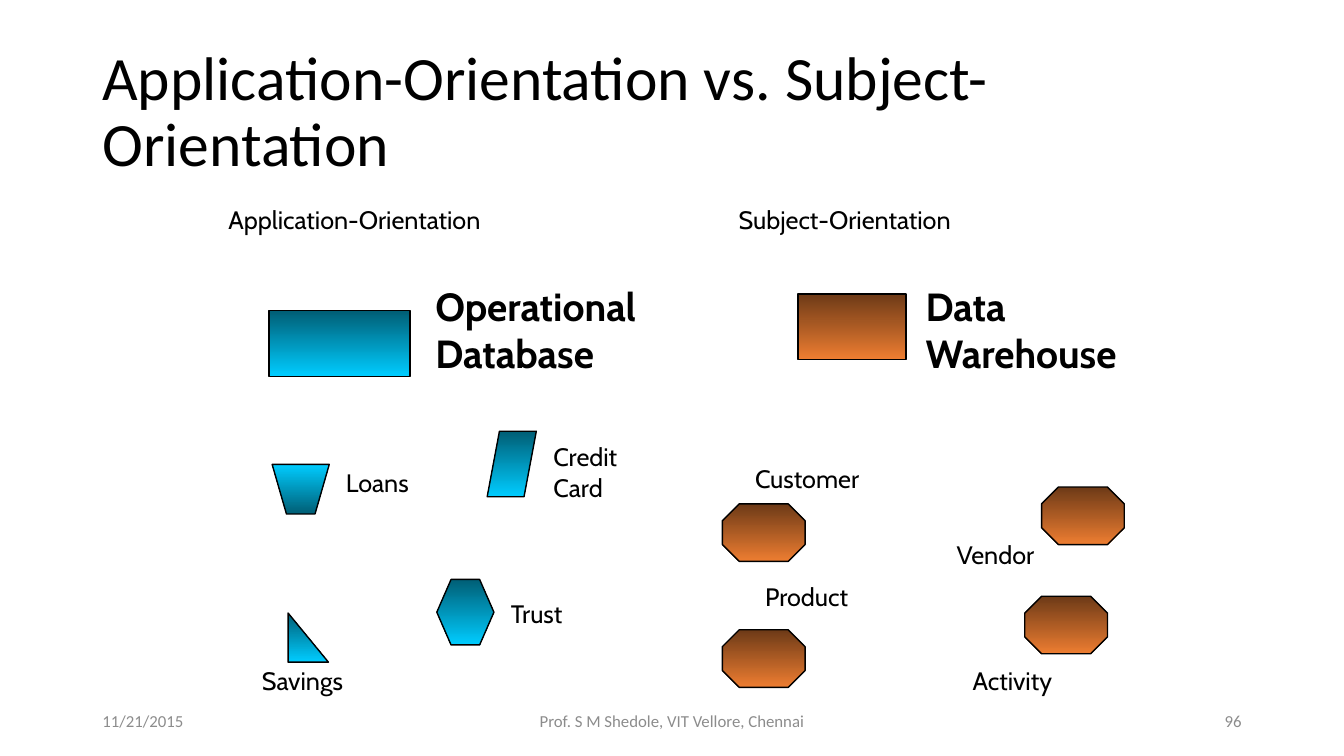
"""Build a slide that contrasts application-orientation with subject-orientation."""
import pptx
import pptx.dml.color
import pptx.enum.shapes
import pptx.enum.text
import pptx.util

KIND = pptx.enum.shapes.MSO_SHAPE
ALIGN = pptx.enum.text.PP_ALIGN
ANCHOR = pptx.enum.text.MSO_ANCHOR
FIT = pptx.enum.text.MSO_AUTO_SIZE
COLS, ROWS = 160, 90
HUES = {
    "ink": "000000",
    "grey": "8C8C8C",
    "blue": ("005E75", "00CCFF"),
    "brown": ("6D3A17", "ED7D31"),
}


def tint(code):
    """Turn a hex string into a colour."""
    return pptx.dml.color.RGBColor.from_string(code)


def write(frame, text, size=18, font="Cabin", bold=False, hue="ink",
          align=ALIGN.LEFT, space=None):
    """Put text into a frame, one paragraph a line."""
    frame.text = text
    for para in frame.paragraphs:
        para.alignment = align
        para.line_spacing = space
        face = para.runs[0].font
        face.size, face.name, face.bold = pptx.util.Pt(size), font, bold
        face.color.rgb = tint(HUES[hue])


class Page:
    """Hold the style and the current slide, measured in grid cells."""

    def __init__(self, deck):
        """Add a blank slide and set the grid cell."""
        self.slide = deck.slides.add_slide(deck.slide_layouts[6])
        self.cell = deck.slide_width / COLS

    def span(self, *cells):
        """Turn grid cells into lengths."""
        return [pptx.util.Emu(round(n * self.cell)) for n in cells]

    def panel(self, box, text, **form):
        """Add a fixed, wrapped text box centred on its height."""
        frame = self.slide.shapes.add_textbox(*self.span(*box)).text_frame
        frame.word_wrap = True
        frame.vertical_anchor = ANCHOR.MIDDLE
        write(frame, text, **form)

    def label(self, box, text, wrap=False, **form):
        """Add a text box that grows with its text."""
        frame = self.slide.shapes.add_textbox(*self.span(*box)).text_frame
        frame.word_wrap = wrap
        frame.auto_size = FIT.SHAPE_TO_FIT_TEXT
        write(frame, text, **form)

    def paint(self, shape, hue):
        """Give a shape its gradient and outline."""
        shape.shadow.inherit = False
        shape.fill.gradient()
        shape.fill.gradient_angle = 270
        for stop, code, place in zip(shape.fill.gradient_stops, HUES[hue], (0, 1)):
            stop.color.rgb = tint(code)
            stop.position = place
        shape.line.color.rgb = tint(HUES["ink"])
        shape.line.width = pptx.util.Pt(1)

    def block(self, kind, box, hue):
        """Add a preset shape."""
        self.paint(self.slide.shapes.add_shape(kind, *self.span(*box)), hue)

    def outline(self, points, hue, turn=0):
        """Add a closed outline."""
        first, *rest = [self.span(*point) for point in points]
        pen = self.slide.shapes.build_freeform(*first)
        pen.add_line_segments(rest)
        shape = pen.convert_to_shape()
        shape.rotation = turn
        self.paint(shape, hue)


deck = pptx.Presentation()
deck.slide_width = pptx.util.Inches(13.33)
deck.slide_height = pptx.util.Inches(7.5)
page = Page(deck)

page.panel((11, 4.8, 138, 17.4), "Application-Orientation vs. Subject-Orientation",
           size=44, font="Calibri", space=0.9)
for left, wide, text, align in (
    (11, 36, "11/21/2015", ALIGN.LEFT),
    (53, 54, "Prof. S M Shedole, VIT Vellore, Chennai", ALIGN.CENTER),
    (113, 36, "96", ALIGN.RIGHT),
):
    page.panel((left, 83.4, wide, 4.8), text, size=12, font="Calibri",
               hue="grey", align=align)

for kind, box in (
    (KIND.RECTANGLE, (32, 37, 16.8, 7.8)),
    (KIND.HEXAGON, (52, 69, 6.8, 7.8)),
    (KIND.RIGHT_TRIANGLE, (34.3, 73, 4.8, 5.85)),
    (KIND.PARALLELOGRAM, (58, 51.35, 5.85, 7.8)),
):
    page.block(kind, box, "blue")
page.outline(((32.4, 61.2), (34.1, 55.3), (37.5, 55.3), (39.2, 61.2)),
             "blue", turn=180)

page.block(KIND.RECTANGLE, (95, 35, 12.85, 7.8), "brown")
for spot in ((86, 60), (124, 58), (122, 71), (86, 75)):
    page.block(KIND.OCTAGON, (*spot, 9.85, 6.85), "brown")

for left, top, wide, text in (
    (26, 23.75, 32.9, "Application-Orientation"),
    (86.75, 23.75, 28.2, "Subject-Orientation"),
    (40, 55, 10.2, "Loans"),
    (64.7, 52, 11.3, "Credit\nCard"),
    (59.65, 70.65, 9, "Trust"),
    (30, 78.6, 12.6, "Savings"),
    (88.7, 54.6, 15.1, "Customer"),
    (112.7, 63.6, 11.8, "Vendor"),
    (89.9, 68.6, 17.8, "Product"),
    (114.6, 78.6, 12, "Activity"),
):
    high = 4.8 + 3.6 * text.count("\n")
    page.label((left, top, wide, high), text, wrap=text == "Product")
page.label((50.65, 33, 30.4, 12.4), "Operational Database", wrap=True,
           size=28, bold=True)
page.label((109, 33, 29, 12.4), "Data\nWarehouse", size=28, bold=True)

deck.save("out.pptx")
